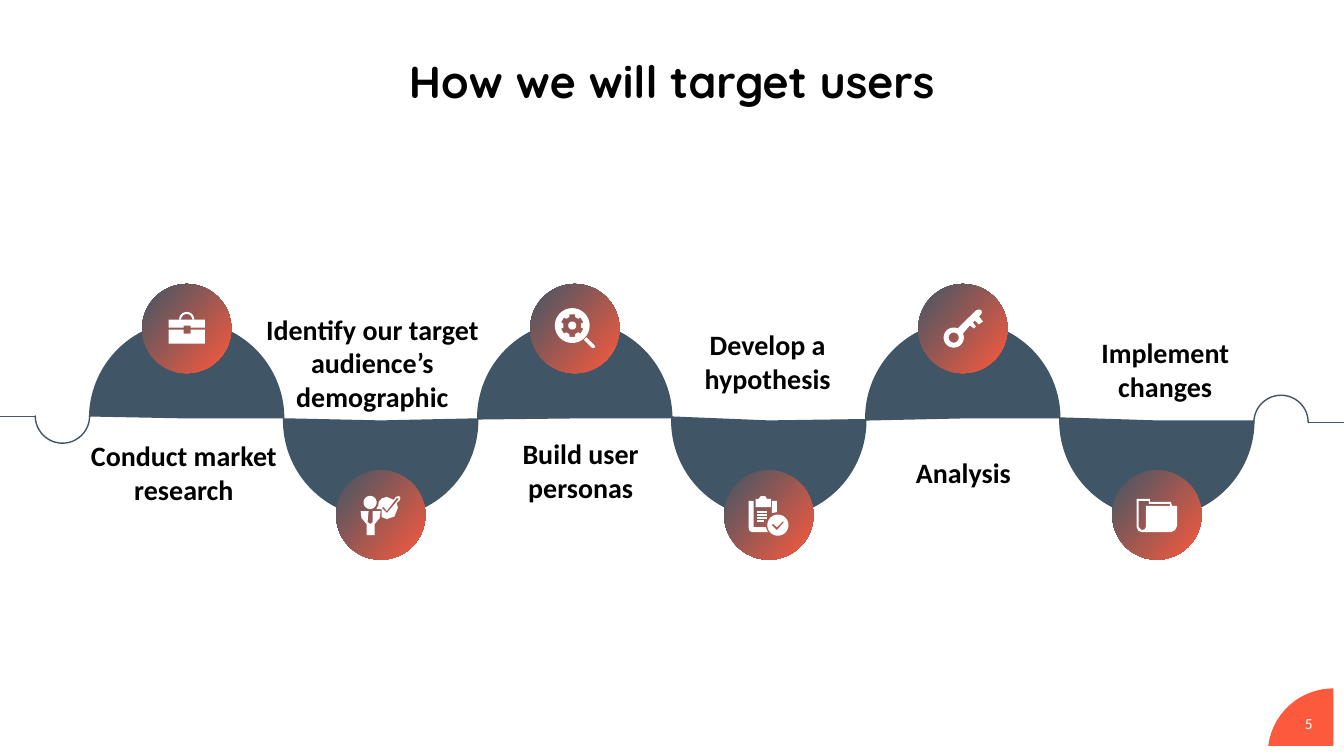
"""Build the slide on how users will be targeted, as a wave of six steps."""
import math
from dataclasses import dataclass

from lxml import etree
from pptx import Presentation, util as u
from pptx.dml.color import RGBColor
from pptx.enum import shapes, text
from pptx.oxml.ns import qn

BLACK = RGBColor(0x00, 0x00, 0x00)
WHITE = RGBColor(0xFF, 0xFF, 0xFF)
SLATE = RGBColor(0x40, 0x56, 0x66)
CORAL = RGBColor(0xFD, 0x59, 0x3D)

SLIDE_W, SLIDE_H = 33.87, 19.05
WAVE_LEFT, WAVE_SIZE = 2.26, 4.89
CREST_TOP, TROUGH_TOP = 8.1, 8.15
BADGE_SIZE, CREST_BADGE_Y, TROUGH_BADGE_Y = 2.25, 8.28, 12.98
LOOP_SIZE = 1.37
ICON_UNIT = u.Cm(0.0254)
STEPS_PER_UNIT = 100

Point = tuple[float, float]
Contour = list[Point]
Part = list[Contour]


def polar(cx: float, cy: float, radius: float, degrees: float) -> Point:
    """Return a point at an angle around a centre."""
    angle = math.radians(degrees)
    return cx + radius * math.cos(angle), cy + radius * math.sin(angle)


def ring(cx: float, cy: float, radius: float, start: float = 0, end: float = 360) -> Contour:
    """Return points along a circular arc."""
    return [polar(cx, cy, radius, start + (end - start) * i / 32) for i in range(33)]


def gear(cx: float, cy: float) -> Contour:
    """Return the outline of a six-toothed wheel."""
    tooth = ((9, -18), (11.5, -14), (11.5, 14), (9, 18))
    return [polar(cx, cy, radius, 30 + 60 * i + turn) for i in range(6) for radius, turn in tooth]


def bar(left: float, top: float, width: float, height: float) -> Contour:
    """Return the corners of a rectangle."""
    return [(left, top), (left + width, top), (left + width, top + height), (left, top + height)]


BRIEFCASE: list[Part] = [
    [ring(0, -9, 7.5, 180, 360) + ring(0, -9, 5.5, 360, 180)],
    [[(-18, -9), (18, -9), (18, -1), (4, -1), (4, -3), (-3, -3), (-3, -1), (-18, -1)]],
    [[(-18, 1), (-3, 1), (-3, 5), (4, 5), (4, 1), (18, 1), (18, 15), (-18, 15)]],
]
PERSON: list[Part] = [
    [ring(-10.5, -12.5, 6.5)],
    [[(-8, -4), (-8, 7), (-10, 9), (-13, 7), (-12, -4), (-20, -4), (-19, 3), (-14, 9),
      (-14, 20), (-6, 20), (-6, 9), (-1, 3), (0, -4)]],
    [[(15, -18), (13, -15), (6, -18), (1, -16.5), (-2, -13), (-2.5, -9), (-4, -7), (-4, -6),
      (1, -6), (1, 2), (6, 4), (13.5, 1.5), (17, -7), (16, -12), (19, -15), (19.5, -17.5),
      (18, -19)],
     [(18, -16), (7, -3), (6, -2), (1, -7), (3, -8), (6, -4), (16, -17)]],
]
MAGNIFIER: list[Part] = [
    [ring(-2.5, -3, 17.3), gear(-2.5, -3)],
    [[(9, 11), (17, 19), (19.5, 19.5), (20, 17), (11.5, 8.5)]],
    [ring(-2.5, -3, 4)],
]
CLIPBOARD: list[Part] = [
    [[(3, -14), (8, -14), (8, -3), (3, -2)]],
    [[(-15, -14), (-20, -14), (-20, 13), (-19, 16), (-16, 17), (-1, 17), (-3, 12), (-15, 12)]],
    *[[bar(-12, -4 + 3 * i, width, 1.7)] for i, width in enumerate((10, 10, 10, 7))],
    [[(-13, -16), (-10, -16), (-8.5, -18.5), (-6, -19), (-3, -18.5), (-2, -16), (2, -16),
      (2, -8), (-13, -8)]],
    [ring(9, 10, 10.5), [(15, 7), (8, 15), (3, 10), (4, 8.5), (8, 12), (14, 6)]],
]
KEY: list[Part] = [
    [ring(-9, 9, 10, -24, 294)
     + [(13, -18), (16, -19), (18.5, -18), (19, -16), (18, -14), (16, -12), (20, -7), (16, -4),
        (12, -8), (10, -6), (13, -2), (11, 0), (7, -3)],
     ring(-9, 9, 5)],
]
FOLDER: list[Part] = [
    [[(-20, -16), (-7, -16), (-7, -13), (14, -13), (15, -9), (20, -9), (20, 11), (18, 15),
      (14, 17), (-15, 17), (-18.5, 15.5), (-20, 12)],
     [(13, -9), (-11, -9), (-11, 12), (-12, 14), (-15, 15), (-18, 12), (-18, -14), (-8, -14),
      (-8, -11), (13, -11)]],
]
CORNER: Part = [ring(0, 0, 65, 187, 270) + [(0, -8)]]


@dataclass(frozen=True)
class Step:
    """One step: its caption and box in cm, its icon and its arc ends."""
    caption: str
    box: tuple[float, float, float, float]
    icon: list[Part]
    arc: tuple[float, float]


STEPS = [
    Step("Conduct market research", (1.93, 11.05, 5.41, 1.7), BRIEFCASE, (108.67, 0)),
    Step("Identify our target audience’s demographic", (6.63, 7.85, 5.51, 2.57), PERSON,
         (107.24, 0.74)),
    Step("Build user personas", (12.78, 11, 3.71, 1.7), MAGNIFIER, (107.6, 0)),
    Step("Develop a hypothesis", (17.53, 8.26, 3.63, 1.7), CLIPBOARD, (106.59, 0.5)),
    Step("Analysis", (22.91, 11.46, 2.74, 0.86), KEY, (107.24, 0)),
    Step("Implement changes", (27.46, 8.46, 3.81, 1.7), FOLDER, (106.91, 0)),
]


def write(sp, content: str, *, size: float, color: RGBColor = BLACK, font: str = "Calibri",
          bold: bool = True, inset: float | None = None, spacing: float | None = None,
          fit=text.MSO_AUTO_SIZE.NONE) -> None:
    """Put centred, formatted text into a shape."""
    tf = sp.text_frame
    tf.word_wrap, tf.auto_size = True, fit
    tf.vertical_anchor = text.MSO_ANCHOR.MIDDLE
    if inset is not None:
        tf.margin_left = tf.margin_top = tf.margin_right = tf.margin_bottom = u.Cm(inset)
    p = tf.paragraphs[0]
    p.alignment, p.line_spacing = text.PP_ALIGN.CENTER, spacing
    r = p.add_run()
    r.text = content
    r.font.name, r.font.size, r.font.bold = font, u.Pt(size), bold
    r.font.color.rgb = color


def add_arc(s, left: float, top: float, size: float, ends: tuple[float, float],
            flip: str | None = None, filled: bool = False) -> None:
    """Draw a half-circle arc, flipped if asked."""
    sp = s.shapes.add_shape(shapes.MSO_SHAPE.ARC, *map(u.Cm, (left, top, size, size)))
    sp.shadow.inherit = False
    sp.adjustments[0], sp.adjustments[1] = ends
    if filled:
        sp.fill.solid()
        sp.fill.fore_color.rgb = SLATE
    else:
        sp.fill.background()
    sp.line.color.rgb, sp.line.width = SLATE, u.Pt(1)
    if flip:
        sp._element.spPr.xfrm.set(flip, "1")


def add_badge(s, cx: float, cy: float) -> None:
    """Draw a gradient circle around a centre."""
    half = BADGE_SIZE / 2
    sp = s.shapes.add_shape(shapes.MSO_SHAPE.OVAL,
                            *map(u.Cm, (cx - half, cy - half, BADGE_SIZE, BADGE_SIZE)))
    sp.shadow.inherit = False
    sp.fill.gradient()
    sp.fill.gradient_angle = 320
    for stop, position, color in zip(sp.fill.gradient_stops, (0, 1), (SLATE, CORAL)):
        stop.position, stop.color.rgb = position, color
    sp.line.fill.background()


def add_outline(s, part: Part, cx: float, cy: float, color: RGBColor) -> None:
    """Draw a filled outline, with any holes, around a centre."""
    contours = [[(x * STEPS_PER_UNIT, y * STEPS_PER_UNIT) for x, y in c] for c in part]
    builder = s.shapes.build_freeform(*contours[0][0], scale=ICON_UNIT / STEPS_PER_UNIT)
    for i, contour in enumerate(contours):
        if i:
            builder.move_to(*contour[0])
        builder.add_line_segments(contour[1:], close=True)
    sp = builder.convert_to_shape(u.Cm(cx), u.Cm(cy))
    sp.shadow.inherit = False
    sp.fill.solid()
    sp.fill.fore_color.rgb = color
    sp.line.fill.background()


def add_tail(s, start: float, end: float, y: float) -> None:
    """Draw a horizontal line leading off the slide."""
    cn = s.shapes.add_connector(shapes.MSO_CONNECTOR.STRAIGHT, *map(u.Cm, (start, y, end, y)))
    cn.line.color.rgb, cn.line.width = SLATE, u.Pt(1)
    etree.SubElement(cn._element.spPr, qn("a:effectLst"))


def main() -> None:
    """Build and save the slide."""
    prs = Presentation()
    prs.slide_width, prs.slide_height = u.Cm(SLIDE_W), u.Cm(SLIDE_H)
    s = prs.slides.add_slide(prs.slide_layouts[5])
    title = s.shapes.title
    title.left, title.top, title.width, title.height = map(u.Cm, (1.68, 0.86, 30.51, 2.49))
    write(title, "How we will target users", size=32, font="Quicksand", spacing=0.9)

    for i, step in enumerate(STEPS):
        top, flip = (TROUGH_TOP, "flipV") if i % 2 else (CREST_TOP, None)
        add_arc(s, WAVE_LEFT + i * WAVE_SIZE, top, WAVE_SIZE, step.arc, flip, filled=True)
    for i, step in enumerate(STEPS):
        cx = WAVE_LEFT + (i + 0.5) * WAVE_SIZE
        cy = TROUGH_BADGE_Y if i % 2 else CREST_BADGE_Y
        add_badge(s, cx, cy)
        for part in step.icon:
            add_outline(s, part, cx, cy, WHITE)
        caption = s.shapes.add_textbox(*map(u.Cm, step.box))
        write(caption, step.caption, size=20, inset=0, fit=text.MSO_AUTO_SIZE.SHAPE_TO_FIT_TEXT)

    add_arc(s, 0.89, 9.8, LOOP_SIZE, (107.24, 0), "flipV")
    add_tail(s, 0, 0.89, 10.49)
    add_arc(s, 31.6, 9.96, LOOP_SIZE, (107.24, 0), "flipH")
    add_tail(s, SLIDE_W, 32.97, 10.64)

    add_outline(s, CORNER, 33.6, 19, CORAL)
    number = s.shapes.add_textbox(*map(u.Cm, (32.44, 17.73, 1.09, 1.02)))
    write(number, "5", size=11, color=WHITE, bold=False)
    prs.save("out.pptx")


if __name__ == "__main__":
    main()
